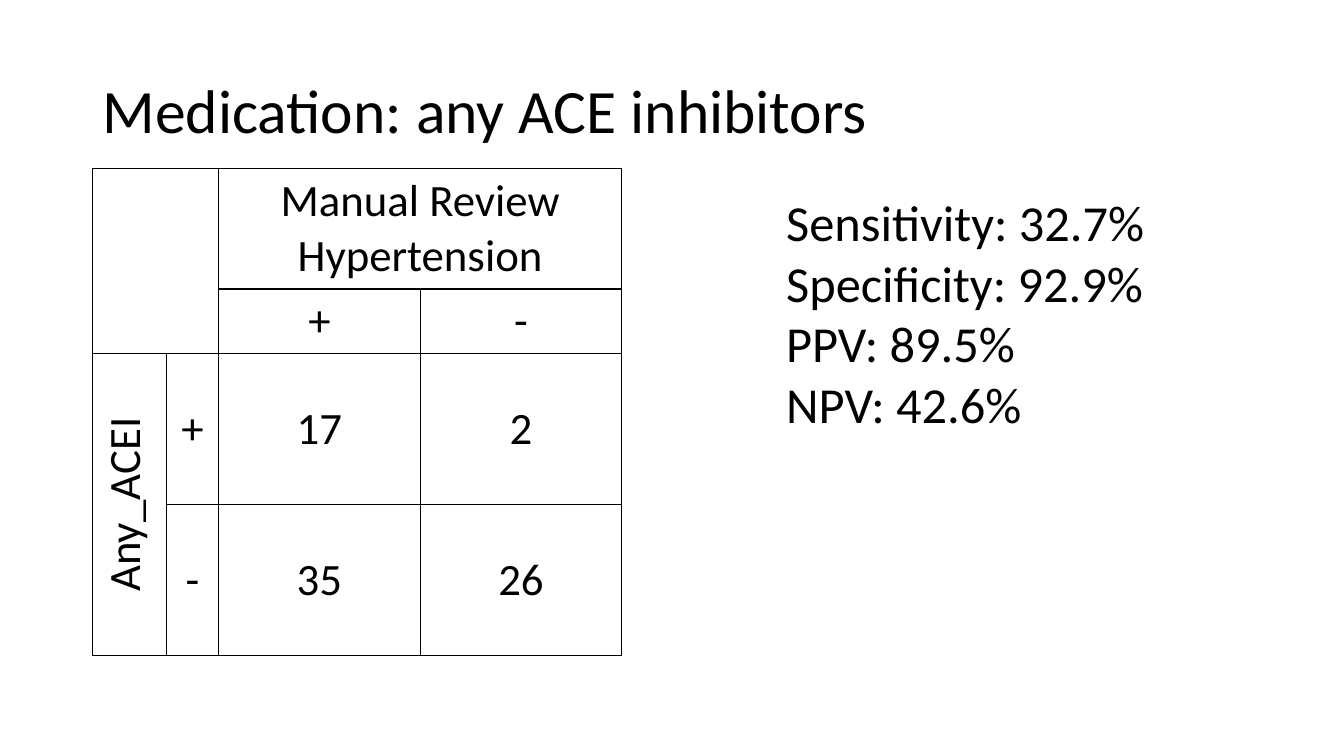
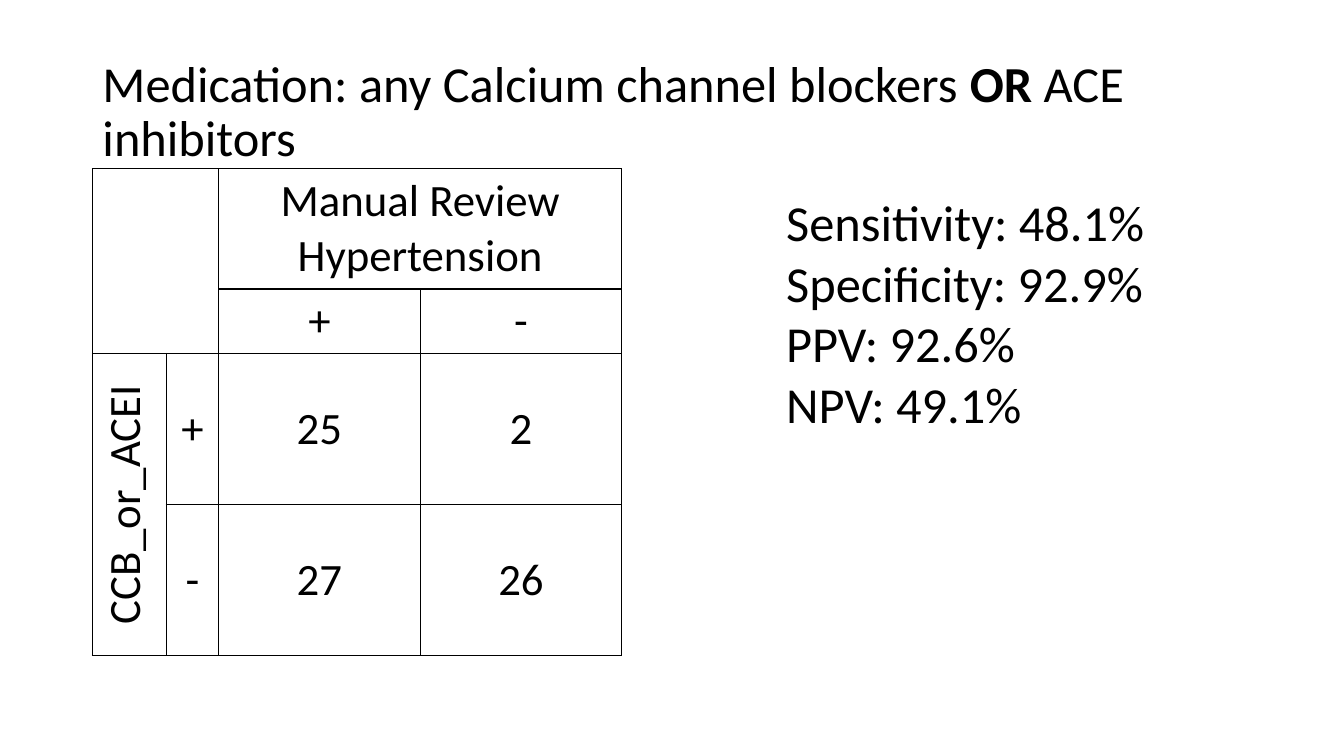
from dataclasses import dataclass

from lxml import etree
from pptx import Presentation
from pptx import slide as sl
from pptx import table as tb
from pptx import util as u
from pptx.dml import color
from pptx.enum import text
from pptx.oxml import ns
from pptx.text import text as tx


@dataclass(frozen=True)
class Theme:
    font: str = "Calibri"
    ink: str = "000000"
    table_size: float = 32
    list_size: float = 36
    title_spacing: float = 0.9
    border: float = 1


@dataclass(frozen=True)
class Box:
    left: float
    top: float
    width: float
    height: float


@dataclass(frozen=True)
class Run:
    text: str
    bold: bool = False


@dataclass(frozen=True)
class Label:
    row: int
    column: int
    text: str
    vertical: bool = False


@dataclass(frozen=True)
class Evaluation:
    title: tuple[Run, ...]
    title_size: float
    title_width: float
    test_name: str
    counts: tuple[tuple[int, int], tuple[int, int]]
    metrics: dict[str, str]


THEME = Theme()
LAYOUT_INDEX = 1
SLIDE_WIDTH, SLIDE_HEIGHT = 960, 540
LEFT = 66
TITLE_TOP, TITLE_HEIGHT = 28.8, 104.4
TABLE_TOP = 120.5
COLUMNS = (52.8, 37.4, 144, 144)
ROWS = (86, 46, 108, 108)
METRICS_BOX = Box(554.4, 133.2, 281.6, 181.4)
MERGES = (((0, 0), (1, 1)), ((0, 2), (0, 3)), ((2, 0), (3, 0)))
SIGNS = ("+", "-")

EVALUATIONS = (
    Evaluation(
        title=(Run("Medication: any ACE inhibitors"),),
        title_size=44,
        title_width=828,
        test_name="Any_ACEI",
        counts=((17, 2), (35, 26)),
        metrics={"Sensitivity": "32.7%", "Specificity": "92.9%", "PPV": "89.5%", "NPV": "42.6%"},
    ),
    Evaluation(
        title=(
            Run("Medication: any Calcium channel blockers "),
            Run("OR", bold=True),
            Run(" ACE inhibitors"),
        ),
        title_size=36,
        title_width=882.7,
        test_name="CCB_or_ACEI",
        counts=((25, 2), (27, 26)),
        metrics={"Sensitivity": "48.1%", "Specificity": "92.9%", "PPV": "92.6%", "NPV": "49.1%"},
    ),
)


def add_run(paragraph: tx._Paragraph, content: Run, size: float) -> None:
    run = paragraph.add_run()
    run.text = content.text
    run.font.name = THEME.font
    run.font.size = u.Pt(size)
    run.font.bold = content.bold
    run.font.color.rgb = color.RGBColor.from_string(THEME.ink)


def place(shape, box: Box) -> None:
    shape.left, shape.top = u.Pt(box.left), u.Pt(box.top)
    shape.width, shape.height = u.Pt(box.width), u.Pt(box.height)


def write_title(slide: sl.Slide, evaluation: Evaluation) -> None:
    shape = slide.shapes.title
    place(shape, Box(LEFT, TITLE_TOP, evaluation.title_width, TITLE_HEIGHT))
    frame = shape.text_frame
    frame.auto_size = text.MSO_AUTO_SIZE.NONE
    frame.word_wrap = True
    frame.vertical_anchor = text.MSO_ANCHOR.MIDDLE
    paragraph = frame.paragraphs[0]
    paragraph.alignment = text.PP_ALIGN.LEFT
    paragraph.line_spacing = THEME.title_spacing
    for content in evaluation.title:
        add_run(paragraph, content, evaluation.title_size)


def write_metrics(slide: sl.Slide, metrics: dict[str, str]) -> None:
    shape = slide.placeholders[1]
    place(shape, METRICS_BOX)
    frame = shape.text_frame
    frame.auto_size = text.MSO_AUTO_SIZE.SHAPE_TO_FIT_TEXT
    frame.word_wrap = False
    frame.vertical_anchor = text.MSO_ANCHOR.TOP
    for index, (name, value) in enumerate(metrics.items()):
        paragraph = frame.add_paragraph() if index else frame.paragraphs[0]
        paragraph.alignment = text.PP_ALIGN.LEFT
        paragraph.line_spacing = 1.0
        paragraph.space_before = paragraph.space_after = u.Pt(0)
        properties = paragraph._p.get_or_add_pPr()
        properties.set("marL", "0")
        properties.set("indent", "0")
        etree.SubElement(properties, ns.qn("a:buNone"))
        add_run(paragraph, Run(f"{name}: {value}"), THEME.list_size)


def style_cell(cell: tb._Cell) -> None:
    properties = cell._tc.get_or_add_tcPr()
    for side in ("lnL", "lnR", "lnT", "lnB"):
        line = etree.SubElement(properties, ns.qn(f"a:{side}"), w=str(u.Pt(THEME.border)))
        fill = etree.SubElement(line, ns.qn("a:solidFill"))
        etree.SubElement(fill, ns.qn("a:srgbClr"), val=THEME.ink)
    cell.fill.background()


def write_label(table: tb.Table, label: Label) -> None:
    cell = table.cell(label.row, label.column)
    cell.vertical_anchor = text.MSO_ANCHOR.MIDDLE
    if label.vertical:
        cell._tc.get_or_add_tcPr().set("vert", "vert270")
    paragraph = cell.text_frame.paragraphs[0]
    paragraph.alignment = text.PP_ALIGN.CENTER
    add_run(paragraph, Run(label.text), THEME.table_size)


def table_labels(evaluation: Evaluation) -> list[Label]:
    labels = [
        Label(0, 2, "Manual Review Hypertension"),
        Label(2, 0, evaluation.test_name, vertical=True),
    ]
    for index, sign in enumerate(SIGNS):
        labels += [Label(1, 2 + index, sign), Label(2 + index, 1, sign)]
    for row, counts in enumerate(evaluation.counts, start=2):
        labels += [Label(row, column, str(count)) for column, count in enumerate(counts, start=2)]
    return labels


def add_confusion_table(slide: sl.Slide, evaluation: Evaluation) -> None:
    table = slide.shapes.add_table(
        len(ROWS), len(COLUMNS),
        u.Pt(LEFT), u.Pt(TABLE_TOP), u.Pt(sum(COLUMNS)), u.Pt(sum(ROWS)),
    ).table
    table.first_row = table.horz_banding = False
    for column, width in zip(table.columns, COLUMNS):
        column.width = u.Pt(width)
    for row, height in zip(table.rows, ROWS):
        row.height = u.Pt(height)
    for cell in table.iter_cells():
        style_cell(cell)
    for first, last in MERGES:
        table.cell(*first).merge(table.cell(*last))
    for label in table_labels(evaluation):
        write_label(table, label)


def main() -> None:
    presentation = Presentation()
    presentation.slide_width = u.Pt(SLIDE_WIDTH)
    presentation.slide_height = u.Pt(SLIDE_HEIGHT)
    for evaluation in EVALUATIONS:
        slide = presentation.slides.add_slide(presentation.slide_layouts[LAYOUT_INDEX])
        write_title(slide, evaluation)
        add_confusion_table(slide, evaluation)
        write_metrics(slide, evaluation.metrics)
    presentation.save("out.pptx")


main()
